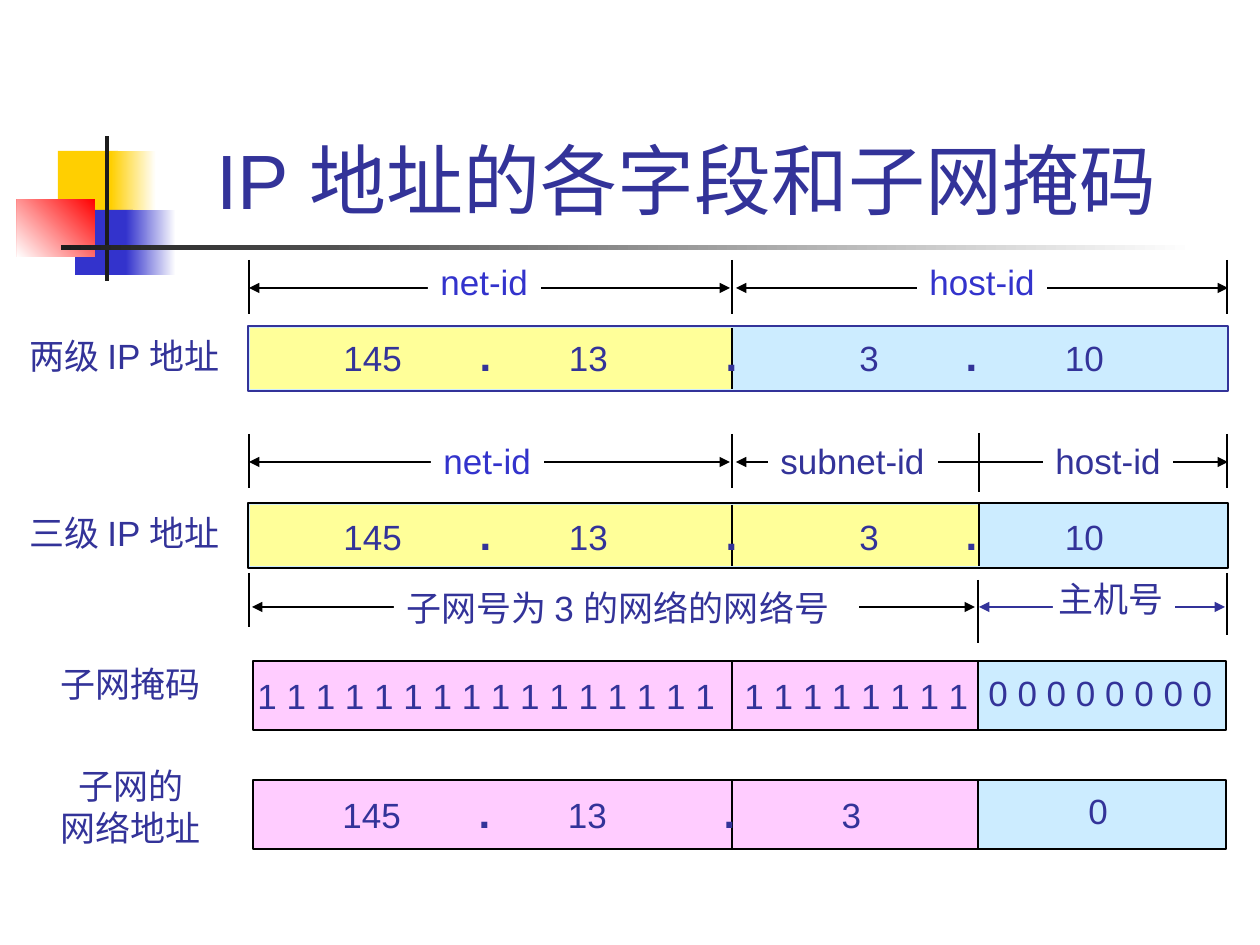
from pptx import Presentation
from pptx.dml.color import RGBColor
from pptx.enum.shapes import MSO_CONNECTOR, MSO_SHAPE
from pptx.enum.text import MSO_ANCHOR, MSO_AUTO_SIZE, PP_ALIGN
from pptx.oxml.ns import qn
from pptx.util import Emu, Pt
from lxml.etree import SubElement

NAVY = RGBColor(0x33, 0x33, 0x99)
BLUE = RGBColor(0x33, 0x33, 0xCC)
GOLD = RGBColor(0xFF, 0xCF, 0x01)
RED = RGBColor(0xFF, 0x00, 0x00)
INK = RGBColor(0x1C, 0x1C, 0x1C)
BLACK = RGBColor(0x00, 0x00, 0x00)
WHITE = RGBColor(0xFF, 0xFF, 0xFF)
YELLOW = RGBColor(0xFF, 0xFF, 0x99)
CYAN = RGBColor(0xCC, 0xEC, 0xFF)
PINK = RGBColor(0xFF, 0xCC, 0xFF)

LEFT, MID, SUB, RIGHT = 249, 732, 979, 1227


def px(n):
    return Emu(round(n * 914400 / 126))


class Deck:
    """Style and current slide of the address diagram."""

    font = "Arial"
    size = 20

    def __init__(self, prs):
        self.slide = prs.slides.add_slide(prs.slide_layouts[5])

    def style(self, r, size=size, color=NAVY, bold=False):
        r.font.name, r.font.size, r.font.bold = self.font, Pt(size), bold
        r.font.color.rgb = color

    def title(self, text, x, y, w, h):
        s = self.slide.shapes.title
        s.left, s.top, s.width, s.height = map(px, (x, y, w, h))
        tf = s.text_frame
        tf.text = text
        tf.auto_size = MSO_AUTO_SIZE.NONE
        tf.vertical_anchor = MSO_ANCHOR.BOTTOM
        p = tf.paragraphs[0]
        p.alignment = PP_ALIGN.CENTER
        self.style(p.runs[0], 44)

    def rect(self, x, y, w, h, fill, line=None, weight=1, fade=None, angle=0):
        s = self.slide.shapes.add_shape(MSO_SHAPE.RECTANGLE, *map(px, (x, y, w, h)))
        s.shadow.inherit = False
        if fade is None:
            s.fill.solid()
            s.fill.fore_color.rgb = fill
        else:
            s.fill.gradient()
            s.fill.gradient_angle = angle
            for stop, color in zip(s.fill.gradient_stops, (fill, fade)):
                stop.color.rgb = color
        if line is None:
            s.line.fill.background()
        else:
            s.line.color.rgb = line
            s.line.width = Pt(weight)

    def line(self, x1, y1, x2, y2, color=BLACK, weight=1, arrows=False):
        s = self.slide.shapes.add_connector(MSO_CONNECTOR.STRAIGHT, *map(px, (x1, y1, x2, y2)))
        s.line.color.rgb = color
        s.line.width = Pt(weight)
        if arrows:
            for end in ("a:headEnd", "a:tailEnd"):
                SubElement(s.element.spPr.get_or_add_ln(), qn(end), type="triangle")
        SubElement(s.element.spPr, qn("a:effectLst"))

    def text(self, text, x, y, w, h=54, color=NAVY, fill=None, align=PP_ALIGN.LEFT):
        s = self.slide.shapes.add_textbox(*map(px, (x, y, w, h)))
        if fill is not None:
            s.fill.solid()
            s.fill.fore_color.rgb = fill
        tf = s.text_frame
        tf.word_wrap = False
        tf.auto_size = MSO_AUTO_SIZE.SHAPE_TO_FIT_TEXT
        tf.text = text
        for p in tf.paragraphs:
            p.alignment = align
            self.style(p.runs[0], color=color)

    def fields(self, parts, tabs, x, y, w, algn="ctr"):
        s = self.slide.shapes.add_textbox(*map(px, (x, y, w, 63)))
        tf = s.text_frame
        tf.word_wrap = True
        p = tf.paragraphs[0]
        stops = SubElement(p._p.get_or_add_pPr(), qn("a:tabLst"))
        for pos in tabs:
            SubElement(stops, qn("a:tab"), pos=str(px(pos)), algn=algn)
        for i, part in enumerate(parts):
            r = p.add_run()
            r.text = "\t" + part if i else part
            dot = part == "."
            self.style(r, 24 if dot else self.size, bold=dot)


def build_emblem(deck):
    deck.rect(58, 151, 60, 66, GOLD)
    deck.rect(111, 151, 45, 66, GOLD, fade=WHITE)
    deck.rect(75, 210, 58, 65, BLUE)
    deck.rect(126, 210, 50, 65, BLUE, fade=WHITE)
    deck.rect(17, 199, 78, 58, RED, fade=WHITE, angle=225)
    deck.rect(105, 136, 4, 145, INK)
    deck.rect(61, 245, 1134, 5, INK, fade=WHITE)


def build_addresses(deck):
    for y, text_y, edge, end in ((326, 323, NAVY, MID), (503, 502, BLACK, SUB)):
        deck.rect(248, y, 980, 65, CYAN, edge)
        deck.rect(250, y + 2, end - 250, 61, YELLOW)
        deck.line(MID, y + 2, MID, y + 63)
        deck.fields(["145", ".", "13", "."], (142, 245, 388), 331, text_y, 430)
        deck.fields(["3", ".", "10"], (112, 225), 847, text_y, 290)
    deck.line(SUB, 503, SUB, 566)
    deck.text("两级 IP 地址", 17, 328, 233)
    deck.text("三级 IP 地址", 17, 505, 233)


def build_dimensions(deck):
    for y in (288, 462):
        deck.line(LEFT, y, MID - 2, y, arrows=True)
        deck.line(MID + 4, y, RIGHT + 1, y, arrows=True)
        for x in (LEFT, MID, RIGHT):
            deck.line(x, y - 28, x, y + 26, weight=0.75)
    deck.line(SUB, 433, SUB, 492, weight=0.75)
    deck.text("net-id", 428, 254, 113, color=BLUE, fill=WHITE)
    deck.text("host-id", 917, 254, 130, color=BLUE, fill=WHITE)
    deck.text("net-id", 431, 433, 113, color=BLUE, fill=WHITE)
    deck.text("subnet-id", 768, 433, 170, fill=WHITE)
    deck.text("host-id", 1043, 433, 130, fill=WHITE)

    deck.line(252, 607, 975, 607, arrows=True)
    deck.line(SUB, 607, 1225, 607, NAVY, arrows=True)
    deck.line(LEFT, 573, LEFT, 627, weight=0.75)
    deck.line(978, 580, 978, 643)
    deck.line(RIGHT, 573, RIGHT, 635)
    deck.text("子网号为 3 的网络的网络号", 394, 580, 465, fill=WHITE)
    deck.rect(1053, 593, 122, 39, WHITE)
    deck.text("主机号", 1046, 571, 130)


def build_masks(deck):
    for y in (661, 780):
        deck.rect(978, y, 248, 69, CYAN, BLACK, 0.75)
        deck.rect(253, y, 725, 69, PINK, BLACK, 0.75)
        deck.line(MID, y, MID, y + 69)
    ones = " ".join("1" * 8)
    deck.fields([f"{ones} {ones}", ones], (487,), 245, 668, 760, "l")
    deck.text(" ".join("0" * 8), 976, 665, 250)
    deck.fields(["145", ".", "13", ".", "3"], (142, 245, 387, 509), 330, 780, 560)
    deck.text("0", 1076, 783, 45)
    deck.text("子网掩码", 48, 656, 166)
    deck.text("子网的\n网络地址", 48, 758, 166, 96, align=PP_ALIGN.CENTER)


def main():
    prs = Presentation()
    prs.slide_width, prs.slide_height = px(1260), px(945)
    deck = Deck(prs)
    build_emblem(deck)
    deck.title("IP 地址的各字段和子网掩码 ", 159, 29, 1073, 202)
    build_addresses(deck)
    build_dimensions(deck)
    build_masks(deck)
    prs.save("out.pptx")


if __name__ == "__main__":
    main()
